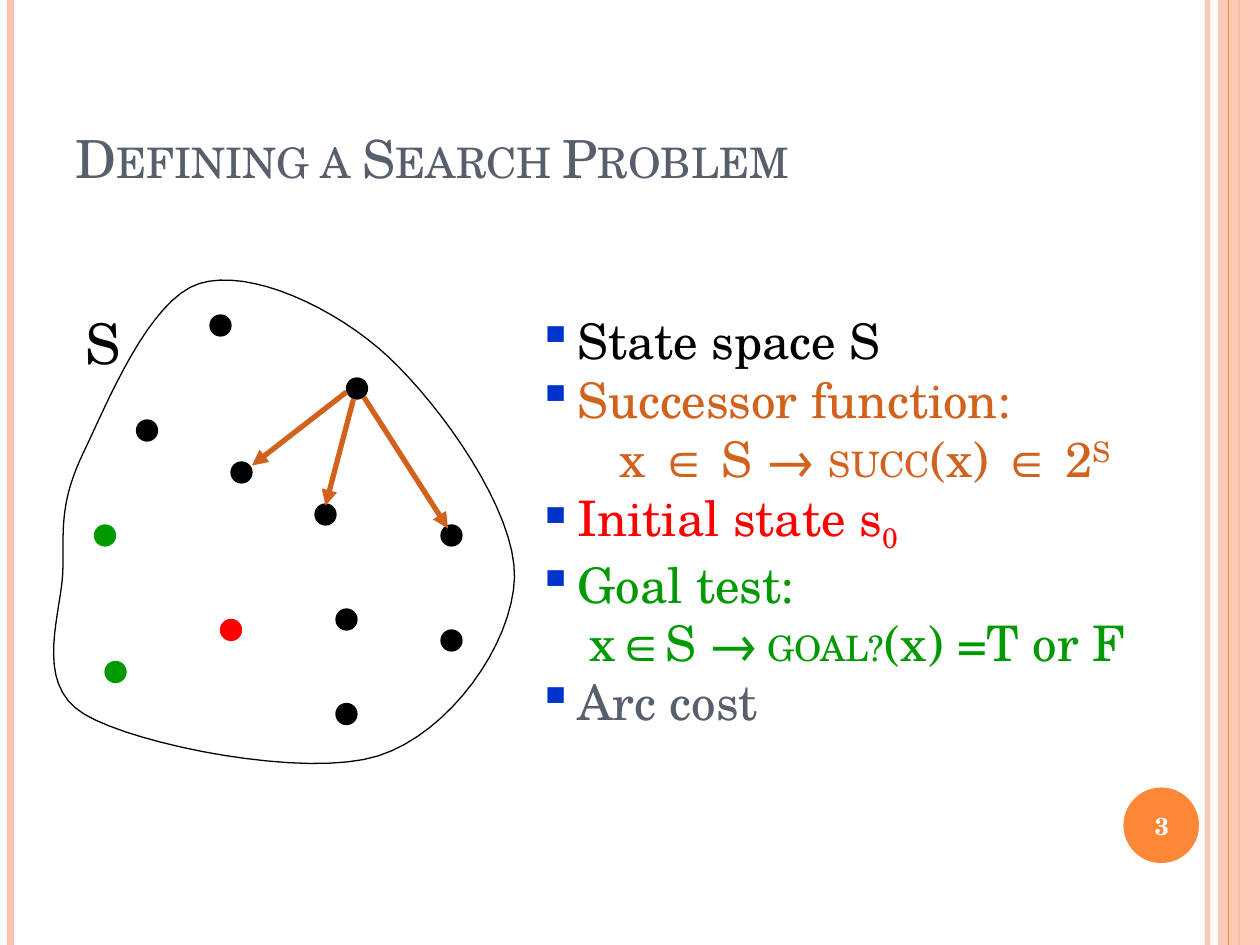
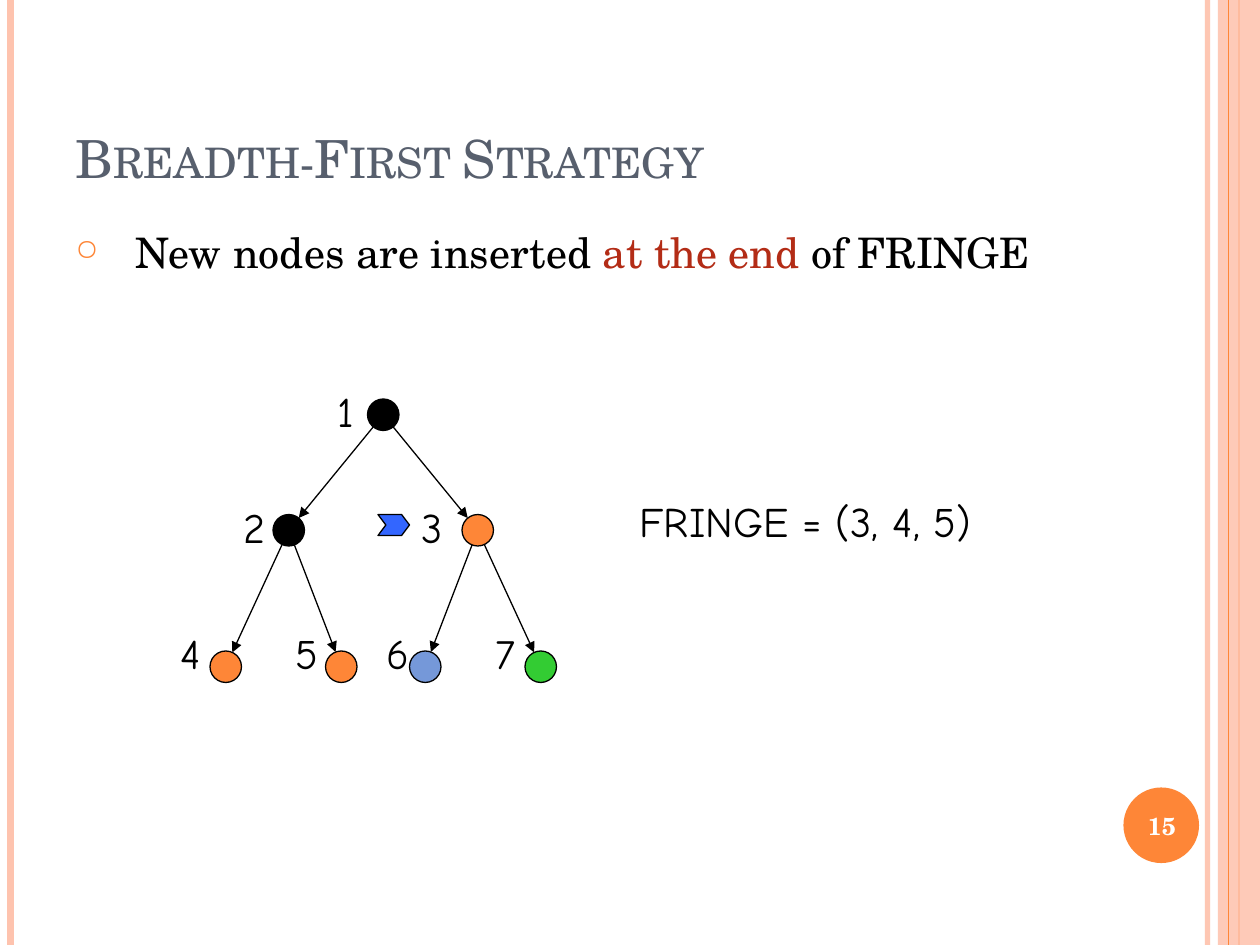
from dataclasses import dataclass
from math import hypot
from typing import NamedTuple, Optional

from lxml.etree import SubElement
from pptx import Presentation
from pptx.dml.color import RGBColor
from pptx.enum.shapes import MSO_CONNECTOR as Link, MSO_SHAPE as Kind
from pptx.enum.text import MSO_ANCHOR as Anchor, PP_ALIGN as Align
from pptx.oxml.ns import qn
from pptx.util import Pt

BLACK = RGBColor(0x00, 0x00, 0x00)
WHITE = RGBColor(0xFF, 0xFF, 0xFF)
PEACH = RGBColor(0xFE, 0xC3, 0xAE)
ORANGE = RGBColor(0xFE, 0x86, 0x37)
SLATE = RGBColor(0x57, 0x5F, 0x6D)
RUST = RGBColor(0xD2, 0x61, 0x1C)
BRICK = RGBColor(0xB3, 0x2C, 0x16)
RED = RGBColor(0xFF, 0x00, 0x00)
GREEN = RGBColor(0x00, 0x99, 0x00)
LIME = RGBColor(0x33, 0xCC, 0x33)
NAVY = RGBColor(0x00, 0x33, 0xCC)
BLUE = RGBColor(0x33, 0x66, 0xFF)
SKY = RGBColor(0x75, 0x98, 0xD9)

SERIF = "TeX Gyre Schola"
COMIC = "Comic Neue"
WIDTH, HEIGHT = 720, 540


class Box(NamedTuple):
    left: float
    top: float
    width: float
    height: float


class Spot(NamedTuple):
    x: float
    y: float


class Rule(NamedTuple):
    x: float
    color: RGBColor
    weight: float
    alpha: int = 100


class Mark(NamedTuple):
    char: str
    color: RGBColor
    scale: int = 100


class Node(NamedTuple):
    x: float
    y: float
    color: RGBColor
    gap: float = 24
    rise: float = 11


@dataclass
class Bit:
    """A run of text; unset values come from its paragraph."""
    text: str
    color: Optional[RGBColor] = None
    size: Optional[float] = None
    base: int = 0


@dataclass
class Para:
    bits: list[Bit]
    size: float
    color: RGBColor = BLACK
    face: str = SERIF
    bold: bool = False
    caps: bool = False
    align: Align = Align.LEFT
    mark: Optional[Mark] = None
    left: float = 0


RULES = [Rule(690, PEACH, 3, 93), Rule(6, PEACH, 4.5), Rule(708, ORANGE, 1.5)]
EDGE = Rule(702, ORANGE, 0.75)

SQUARE = Mark("▪", NAVY)
RING = Mark("○", ORANGE, 70)
TERMS = [
    Para([Bit("State space S")], 28, mark=SQUARE, left=23),
    Para([Bit("Successor function:")], 28, RUST, mark=SQUARE, left=23),
    Para([Bit("x ∈ S → "), Bit("SUCC", size=20), Bit("(x) ∈ 2"),
          Bit("S", base=30)], 28, RUST, left=47),
    Para([Bit("Initial state s"), Bit("0", base=-25)], 28, RED,
         mark=SQUARE, left=23),
    Para([Bit("Goal test:")], 28, GREEN, mark=SQUARE, left=23),
    Para([Bit("x∈S →"), Bit(" ", size=18), Bit("GOAL?", size=20),
          Bit("(x) =T or F")], 28, GREEN, left=30),
    Para([Bit("Arc cost")], 28, SLATE, mark=SQUARE, left=23),
]

STATES = {
    BLACK: [Spot(78, 240), Spot(198, 216), Spot(132, 264), Spot(192, 348),
            Spot(252, 300), Spot(192, 402), Spot(252, 360), Spot(180, 288),
            Spot(120, 180)],
    RED: [Spot(126, 354)],
    GREEN: [Spot(54, 300), Spot(60, 378)],
}
MOVES = [(Spot(198, 224), Spot(144, 266)), (Spot(202, 228), Spot(186, 289)),
         (Spot(208, 227), Spot(256, 302))]
KNOTS = [Spot(48, 258), Spot(36, 324), Spot(48, 408), Spot(216, 432),
         Spot(294, 330), Spot(222, 204), Spot(114, 162)]

DISC = 18
TREE = {
    1: Node(210, 228, BLACK),
    2: Node(156, 294, BLACK),
    3: Node(264, 294, ORANGE, gap=30),
    4: Node(120, 372, ORANGE, rise=17),
    5: Node(186, 372, ORANGE, rise=17),
    6: Node(234, 372, SKY, gap=20, rise=17),
    7: Node(300, 372, LIME, rise=17),
}


def pts(box: Box) -> list[Pt]:
    return [Pt(side) for side in box]


def fade(fill, alpha: int) -> None:
    """Make a solid fill or line partly clear; alpha is a percentage."""
    if alpha < 100:
        tint = fill._xPr.find(qn("a:solidFill"))[0]
        SubElement(tint, qn("a:alpha"), val=str(alpha * 1000))


def shape(slide, kind: Kind, box: Box, color: RGBColor,
          edge: Optional[RGBColor] = None, alpha: int = 100):
    item = slide.shapes.add_shape(kind, *pts(box))
    item.shadow.inherit = False
    item.fill.solid()
    item.fill.fore_color.rgb = color
    fade(item.fill, alpha)
    if edge is None:
        item.line.fill.background()
    else:
        item.line.color.rgb = edge
        item.line.width = Pt(0.75)
    return item


def line(slide, start: Spot, end: Spot, color: RGBColor, weight: float,
         arrow: bool = False, alpha: int = 100) -> None:
    item = slide.shapes.add_connector(
        Link.STRAIGHT, Pt(start.x), Pt(start.y), Pt(end.x), Pt(end.y))
    item.line.color.rgb = color
    item.line.width = Pt(weight)
    fade(item.line.fill, alpha)
    if arrow:
        SubElement(item.line._get_or_add_ln(), qn("a:tailEnd"),
                   type="triangle")
    SubElement(item._element.spPr, qn("a:effectLst"))


def stripe(slide, rule: Rule) -> None:
    line(slide, Spot(rule.x, 0), Spot(rule.x, HEIGHT), rule.color,
         rule.weight, alpha=rule.alpha)


def bullet(props, mark: Mark) -> None:
    tint = SubElement(props, qn("a:buClr"))
    SubElement(tint, qn("a:srgbClr"), val=str(mark.color))
    SubElement(props, qn("a:buSzPct"), val=str(mark.scale * 1000))
    SubElement(props, qn("a:buChar"), char=mark.char)


def fill_para(para, data: Para) -> None:
    para.alignment = data.align
    props = para._p.get_or_add_pPr()
    if data.left:
        props.set("marL", str(Pt(data.left)))
    if data.mark:
        props.set("indent", str(-Pt(data.left)))
        bullet(props, data.mark)
    font = para.font
    font.name, font.size, font.bold = data.face, Pt(data.size), data.bold
    font.color.rgb = data.color
    if data.caps:
        font._element.set("cap", "small")
    for bit in data.bits:
        run = para.add_run()
        run.text = bit.text
        if bit.size:
            run.font.size = Pt(bit.size)
        if bit.color is not None:
            run.font.color.rgb = bit.color
        if bit.base:
            run.font._element.set("baseline", str(bit.base * 1000))


def text(slide, box: Box, paras: list[Para],
         anchor: Anchor = Anchor.TOP) -> None:
    frame = slide.shapes.add_textbox(*pts(box)).text_frame
    frame.word_wrap = True
    frame.vertical_anchor = anchor
    for place, data in enumerate(paras):
        para = frame.add_paragraph() if place else frame.paragraphs[0]
        fill_para(para, data)


def base(deck, title: str, number: int):
    """Add a slide with the shared bands, title and number disc."""
    slide = deck.slides.add_slide(deck.slide_layouts[6])
    for rule in RULES:
        stripe(slide, rule)
    shape(slide, Kind.RECTANGLE, Box(696, 0, 24, HEIGHT), PEACH, alpha=87)
    stripe(slide, EDGE)
    shape(slide, Kind.OVAL, Box(642, 450, 43.2, 43.2), ORANGE)
    text(slide, Box(36, 21.6, 588, 90),
         [Para([Bit(title)], 30, SLATE, caps=True)], Anchor.BOTTOM)
    text(slide, Box(640, 451.5, 48, 41),
         [Para([Bit(str(number))], 14, WHITE, bold=True,
               align=Align.CENTER)], Anchor.MIDDLE)
    return slide


def curve(knots: list[Spot], steps: int = 16) -> list[Spot]:
    """Trace a closed Catmull-Rom curve through the knots."""
    def blend(a: float, b: float, c: float, d: float, t: float) -> float:
        return b + t / 2 * (c - a + t * (2 * a - 5 * b + 4 * c - d
                                         + t * (3 * (b - c) + d - a)))

    trace = []
    for k in range(len(knots)):
        a, b, c, d = (knots[(k + i) % len(knots)] for i in (-1, 0, 1, 2))
        trace += [Spot(blend(a.x, b.x, c.x, d.x, s / steps),
                       blend(a.y, b.y, c.y, d.y, s / steps))
                  for s in range(steps)]
    return trace


def blob(slide, knots: list[Spot]) -> None:
    first, *rest = [(Pt(x), Pt(y)) for x, y in curve(knots)]
    maker = slide.shapes.build_freeform(*first)
    maker.add_line_segments(rest, close=True)
    item = maker.convert_to_shape()
    item.shadow.inherit = False
    item.fill.background()
    item.line.color.rgb = BLACK
    item.line.width = Pt(0.75)


def branch(slide, top: Node, low: Node) -> None:
    """Draw an arrow from rim to rim of two tree nodes."""
    dx, dy = low.x - top.x, low.y - top.y
    half = DISC / 2
    part = half / hypot(dx, dy)
    line(slide, Spot(top.x + half + dx * part, top.y + half + dy * part),
         Spot(low.x + half - dx * part, low.y + half - dy * part),
         BLACK, 0.75, arrow=True)


def search(deck) -> None:
    slide = base(deck, "Defining a Search Problem", 3)
    text(slide, Box(300, 174, 366, 276), TERMS)
    blob(slide, KNOTS)
    for color, spots in STATES.items():
        for spot in spots:
            shape(slide, Kind.OVAL, Box(*spot, 12, 12), color, color)
    for start, end in MOVES:
        line(slide, start, end, RUST, 3, arrow=True)
    text(slide, Box(42, 173, 36, 46), [Para([Bit("S")], 32)])


def breadth(deck) -> None:
    slide = base(deck, "Breadth-First Strategy", 15)
    text(slide, Box(36, 126, 588, 384), [
        Para([Bit("New nodes are inserted "), Bit("at the end ", BRICK),
              Bit("of FRINGE")], 24, mark=RING, left=34.5)])
    text(slide, Box(358.5, 279.5, 223, 36),
         [Para([Bit("FRINGE = (3, 4, 5)")], 24, face=COMIC)])
    arrow = shape(slide, Kind.CHEVRON, Box(216, 294, 18, 12), BLUE, BLACK)
    arrow.adjustments[0] = 0.375
    for key, node in TREE.items():
        if key > 1:
            branch(slide, TREE[key // 2], node)
        text(slide, Box(node.x - node.gap, node.y - node.rise, 29, 36),
             [Para([Bit(str(key))], 24, face=COMIC)])
    for node in TREE.values():
        shape(slide, Kind.OVAL, Box(node.x, node.y, DISC, DISC),
              node.color, BLACK)


def main() -> None:
    deck = Presentation()
    deck.slide_width, deck.slide_height = Pt(WIDTH), Pt(HEIGHT)
    search(deck)
    breadth(deck)
    deck.save("out.pptx")


if __name__ == "__main__":
    main()
